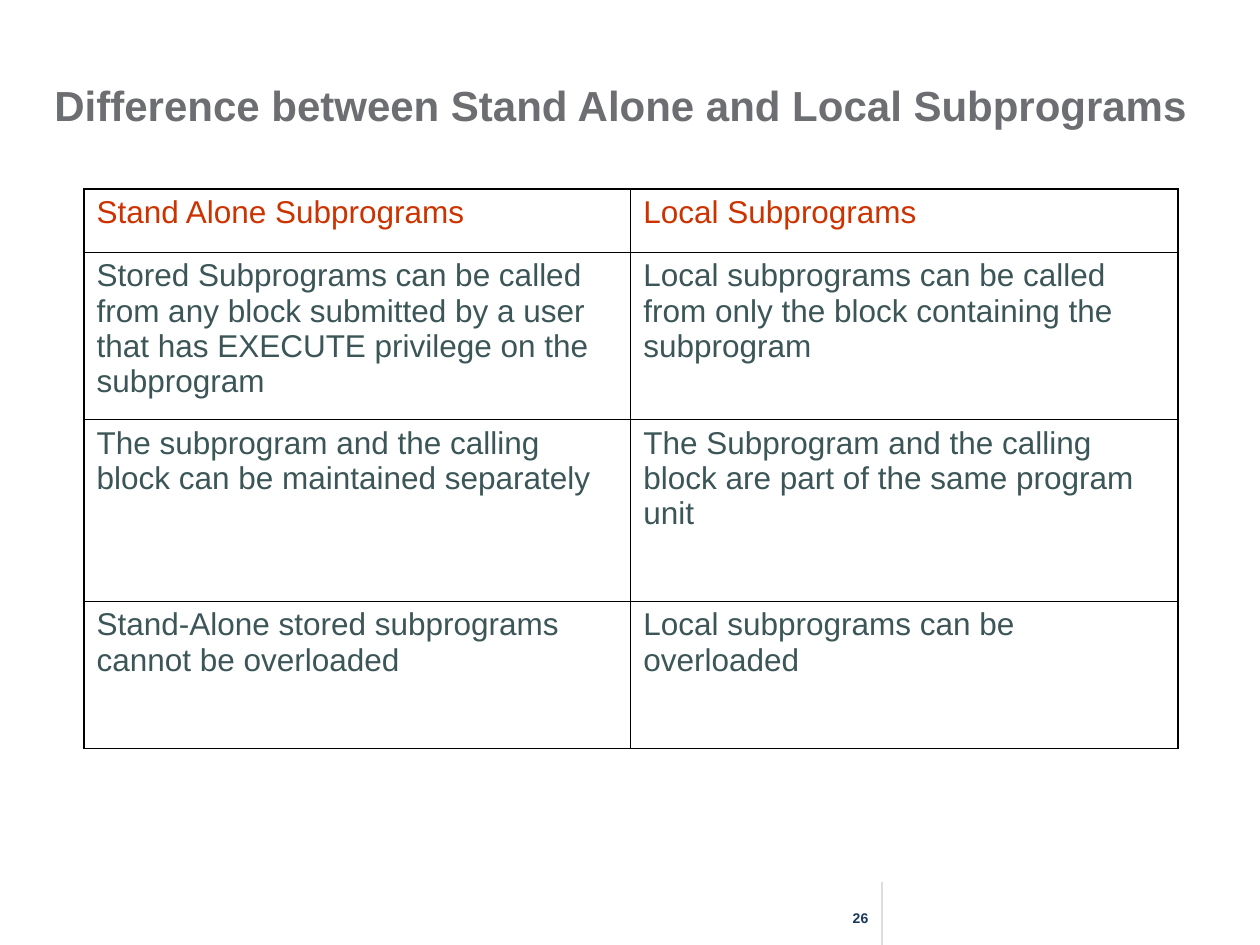
from lxml import etree
from pptx import Presentation
from pptx.dml.color import RGBColor
from pptx.enum.shapes import MSO_CONNECTOR
from pptx.enum.text import MSO_ANCHOR, PP_ALIGN
from pptx.oxml.ns import qn
from pptx.util import Pt

LEFT, CENTER = PP_ALIGN.LEFT, PP_ALIGN.CENTER
TOP, MIDDLE = MSO_ANCHOR.TOP, MSO_ANCHOR.MIDDLE
STRAIGHT = MSO_CONNECTOR.STRAIGHT

FONT = "Arial"
BLACK = RGBColor(0x00, 0x00, 0x00)
TITLE_GRAY = RGBColor(0x6D, 0x6E, 0x71)
HEADER_RED = RGBColor(0xCC, 0x33, 0x00)
BODY_TEAL = RGBColor(0x3C, 0x56, 0x58)
NUMBER_BLUE = RGBColor(0x17, 0x37, 0x5E)
DIVIDER_GRAY = RGBColor(0xDD, 0xDD, 0xDD)

# Content
TITLE = "Difference between Stand Alone and Local Subprograms"
SLIDE_NUMBER = "26"
ROWS = [
    ("Stand Alone Subprograms", "Local Subprograms"),
    ("Stored Subprograms can be called from any block submitted by a user "
     "that has EXECUTE privilege on the subprogram",
     "Local subprograms can be called from only the block containing the subprogram"),
    ("The subprogram and the calling block can be maintained separately",
     "The Subprogram and the calling block are part of the same program unit"),
    ("Stand-Alone stored subprograms cannot be overloaded",
     "Local subprograms can be overloaded"),
]

# Layout, in points
TABLE_LEFT, TABLE_TOP = 48, 108
COLUMN_WIDTH = 312.5
ROW_HEIGHTS = [36, 95.75, 103.75, 84.25]
OUTER_BORDER, INNER_BORDER = 1.08, 0.45


def write_text(frame, text, *, size, color, bold=False, align=LEFT):
    frame.word_wrap = True
    paragraph = frame.paragraphs[0]
    paragraph.alignment = align
    run = paragraph.add_run()
    run.text = text
    font = run.font
    font.name, font.size, font.bold = FONT, Pt(size), bold
    font.color.rgb = color


def add_text_box(slide, text, left, top, width, height, anchor=TOP, **text_format):
    box = slide.shapes.add_textbox(Pt(left), Pt(top), Pt(width), Pt(height))
    box.text_frame.vertical_anchor = anchor
    write_text(box.text_frame, text, **text_format)


def set_borders(cell, widths):
    properties = cell._tc.get_or_add_tcPr()
    for index, (side, width) in enumerate(widths.items()):
        line = etree.Element(qn(f"a:ln{side}"), w=str(int(Pt(width))))
        fill = etree.SubElement(line, qn("a:solidFill"))
        etree.SubElement(fill, qn("a:srgbClr"), val=str(BLACK))
        properties.insert(index, line)


def add_comparison_table(slide):
    row_count, column_count = len(ROWS), len(ROWS[0])
    frame = slide.shapes.add_table(
        row_count, column_count, Pt(TABLE_LEFT), Pt(TABLE_TOP),
        Pt(COLUMN_WIDTH * column_count), Pt(sum(ROW_HEIGHTS)))
    table = frame.table
    table.first_row = table.horz_banding = False
    for column in table.columns:
        column.width = Pt(COLUMN_WIDTH)
    for r, (texts, height) in enumerate(zip(ROWS, ROW_HEIGHTS)):
        table.rows[r].height = Pt(height)
        for c, text in enumerate(texts):
            cell = table.cell(r, c)
            cell.fill.background()
            write_text(cell.text_frame, text, size=18,
                       color=HEADER_RED if r == 0 else BODY_TEAL)
            on_edge = {"L": c == 0, "R": c == column_count - 1,
                       "T": r == 0, "B": r == row_count - 1}
            set_borders(cell, {side: OUTER_BORDER if outer else INNER_BORDER
                               for side, outer in on_edge.items()})


def main():
    presentation = Presentation()
    presentation.slide_width, presentation.slide_height = Pt(720), Pt(540)
    slide = presentation.slides.add_slide(presentation.slide_layouts[6])

    # Footer: slide number and divider
    add_text_box(slide, SLIDE_NUMBER, 473.75, 516, 36, 21.6,
                 size=8, color=NUMBER_BLUE, bold=True, align=CENTER)
    divider = slide.shapes.add_connector(STRAIGHT, Pt(504), Pt(504), Pt(504), Pt(540))
    divider.line.color.rgb = DIVIDER_GRAY
    divider.line.width = Pt(1.5)
    etree.SubElement(divider._element.spPr, qn("a:effectLst"))

    # Title and table
    add_text_box(slide, TITLE, 24, 43.5, 678, 32.4, anchor=MIDDLE,
                 size=24, color=TITLE_GRAY, bold=True)
    add_comparison_table(slide)

    presentation.save("out.pptx")


if __name__ == "__main__":
    main()
